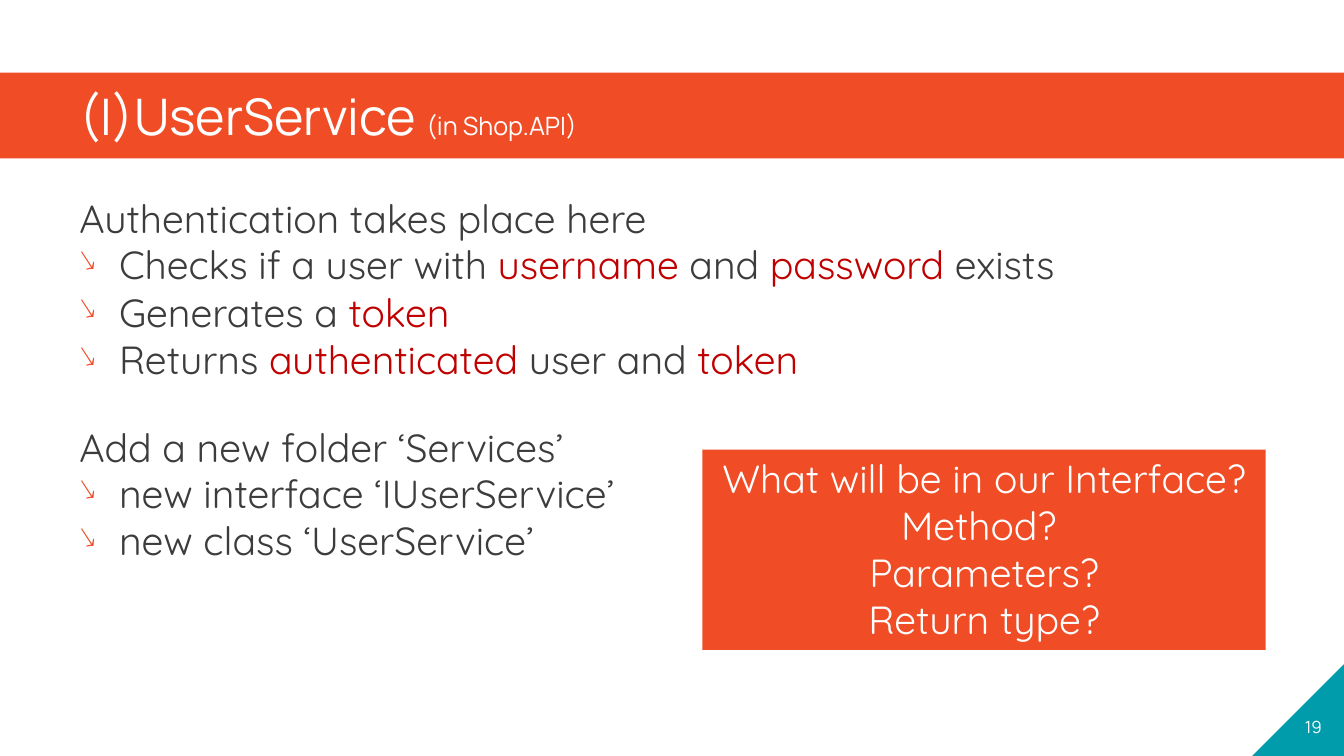
"""Build the (I)UserService slide with its notes, question box and page corner."""
from pptx import Presentation
from pptx import util as u
from pptx.dml.color import RGBColor
from pptx.enum import shapes, text
from lxml import etree

ORANGE, TEAL, WHITE, DARK, RED = "F04C25", "009CAB", "FFFFFF", "3C3C3C", "C00000"
NS = "http://schemas.openxmlformats.org/drawingml/2006/main"


def paint(fill, color):
    fill.solid()
    fill.fore_color.rgb = RGBColor.from_string(color)


def write(para, words, size, face, color):
    run = para.add_run()
    run.text = words
    run.font.size = u.Pt(size)
    run.font.name = face
    paint(run.font.fill, color)
    return run


deck = Presentation()
deck.slide_width, deck.slide_height = u.Cm(33.87), u.Cm(19.05)
slide = deck.slides.add_slide(deck.slide_layouts[5])

body = slide.shapes.add_textbox(0, u.Cm(4.04), deck.slide_width, u.Cm(13.56))
frame = body.text_frame
frame.word_wrap = True
frame.margin_left = frame.margin_right = u.Cm(2)
frame.margin_top = frame.margin_bottom = u.Cm(1)

lines = [
    (False, [("Authentication takes place here", DARK)]),
    (True, [("Checks if a user with ", DARK), ("username", RED), (" and ", DARK),
            ("password", RED), (" exists", DARK)]),
    (True, [("Generates a ", DARK), ("token", RED)]),
    (True, [("Returns ", DARK), ("authenticated", RED), (" user and ", DARK),
            ("token", RED)]),
    (False, [("Add a new folder ‘Services’", DARK)]),
    (True, [("new interface ‘IUserService’", DARK)]),
    (True, [("new class ‘UserService’", DARK)]),
]
for row, (item, parts) in enumerate(lines):
    para = frame.add_paragraph() if row else frame.paragraphs[0]
    para.line_spacing = 0.9
    if item:
        para.level = 1
        para.space_before = para.space_after = u.Pt(2)
        props = para._p.get_or_add_pPr()
        props.set("marL", str(u.Cm(1)))
        props.set("indent", str(-u.Cm(1)))
        tint = etree.SubElement(props, f"{{{NS}}}buClr")
        etree.SubElement(tint, f"{{{NS}}}srgbClr", val=ORANGE)
        etree.SubElement(props, f"{{{NS}}}buSzPct", val="75000")
        etree.SubElement(props, f"{{{NS}}}buChar", char="↘")
    elif row:
        para.space_before = u.Pt(30.5)
    for words, color in parts:
        write(para, words, 28, "Quicksand", color)

title = slide.shapes.title
title.left, title.top = 0, u.Cm(1.83)
title.width, title.height = deck.slide_width, u.Cm(2.16)
paint(title.fill, ORANGE)
frame = title.text_frame
frame.auto_size = text.MSO_AUTO_SIZE.NONE
frame.vertical_anchor = text.MSO_ANCHOR.MIDDLE
frame.margin_left = frame.margin_right = u.Cm(2)
frame.margin_top = frame.margin_bottom = 0
para = frame.paragraphs[0]
para.alignment = text.PP_ALIGN.LEFT
write(para, "(I)UserService ", 36, "Manrope", WHITE)
write(para, "(in Shop.API)", 18, "Manrope", WHITE)

side = u.Cm(2.31)
corner = slide.shapes.add_shape(
    shapes.MSO_SHAPE.RIGHT_TRIANGLE,
    deck.slide_width - side, deck.slide_height - side, side, side)
corner._element.spPr.xfrm.set("flipH", "1")
box = slide.shapes.add_shape(
    shapes.MSO_SHAPE.RECTANGLE, u.Cm(17.7), u.Cm(11.33), u.Cm(14.2), u.Cm(5.05))
for shape, color in ((corner, TEAL), (box, ORANGE)):
    shape.shadow.inherit = False
    paint(shape.fill, color)
    shape.line.fill.background()
    shape.text_frame.paragraphs[0].alignment = text.PP_ALIGN.CENTER

frame = corner.text_frame
frame.word_wrap = False
frame.vertical_anchor = text.MSO_ANCHOR.BOTTOM
frame.margin_left = frame.margin_right = frame.margin_top = 0
frame.margin_bottom = u.Cm(0.3)
write(frame.paragraphs[0], "19", 12, "Manrope", WHITE)

frame = box.text_frame
frame.word_wrap = True
frame.vertical_anchor = text.MSO_ANCHOR.TOP
para = frame.paragraphs[0]
asks = ["What will be in our Interface? Method? ", "Parameters?", "Return type?"]
for row, ask in enumerate(asks):
    if row:
        para.add_line_break()
    write(para, ask, 28, "Quicksand", WHITE)

deck.save("out.pptx")
